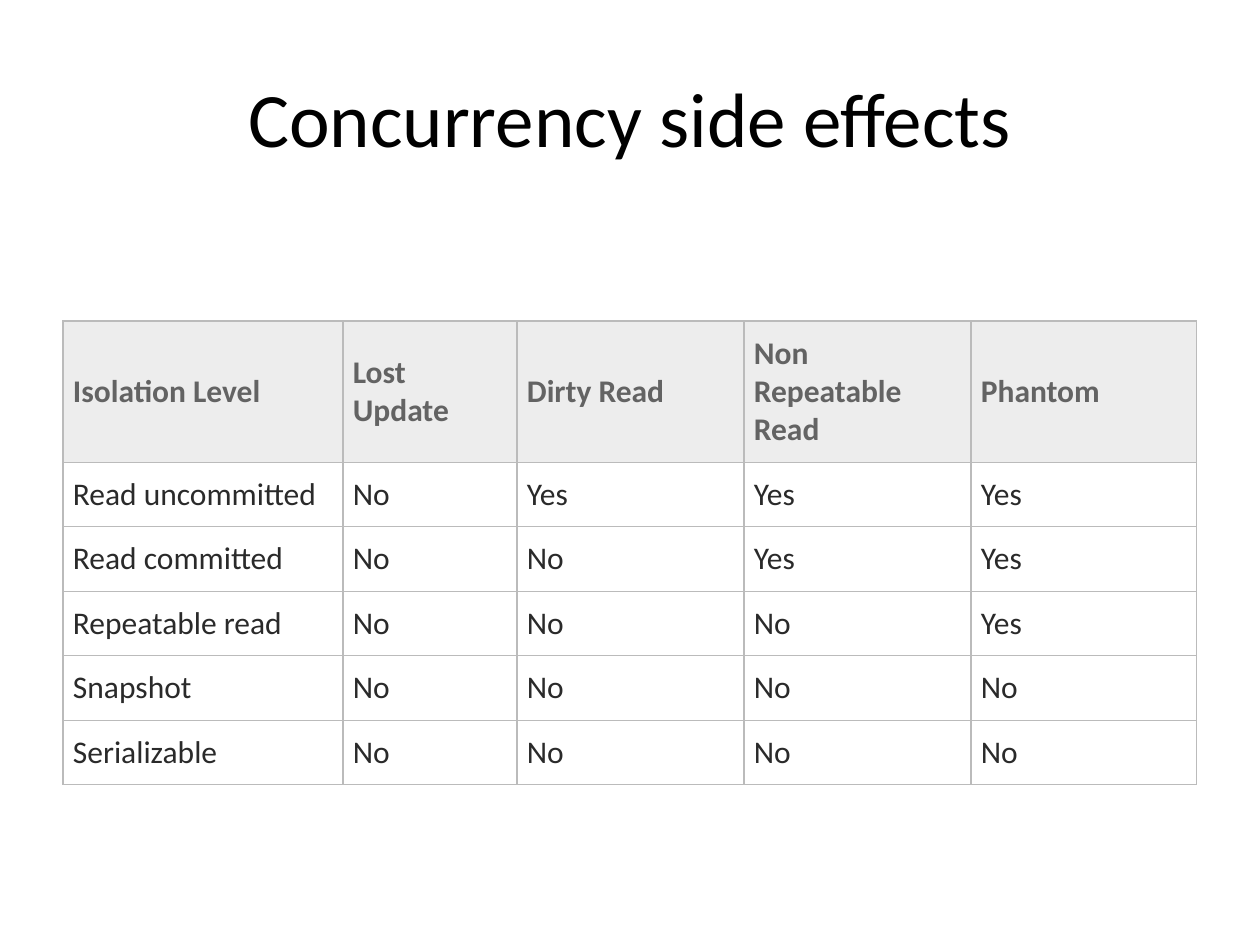
from dataclasses import dataclass

from lxml import etree
from pptx import Presentation
from pptx.dml.color import RGBColor
from pptx.enum.text import MSO_ANCHOR, PP_ALIGN
from pptx.oxml.ns import qn
from pptx.util import Emu, Pt

MIDDLE = MSO_ANCHOR.MIDDLE
TOP = MSO_ANCHOR.TOP
CENTER = PP_ALIGN.CENTER
LEFT = PP_ALIGN.LEFT
PX_PER_INCH = 126
TITLE_ONLY = 5


@dataclass(frozen=True)
class Theme:
    """Colours and type sizes of the slide."""
    font: str = "Calibri"
    title_size: int = 44
    table_size: int = 18
    title: str = "000000"
    header_text: str = "636363"
    header_fill: str = "EDEDED"
    body_text: str = "2A2A2A"
    border: str = "BBBBBB"
    border_width: float = 0.75


THEME = Theme()
COLUMN_WIDTHS = (280, 174, 227, 227, 226)
HEADER_HEIGHT = 141
ROW_HEIGHT = 64
ISOLATION_LEVELS = (
    ("Isolation Level", "Lost Update", "Dirty Read", "Non Repeatable Read", "Phantom"),
    ("Read uncommitted", "No", "Yes", "Yes", "Yes"),
    ("Read committed", "No", "No", "Yes", "Yes"),
    ("Repeatable read", "No", "No", "No", "Yes"),
    ("Snapshot", "No", "No", "No", "No"),
    ("Serializable", "No", "No", "No", "No"),
)


def px(length):
    """Turn px into EMU."""
    return Emu(round(length * 914400 / PX_PER_INCH))


def add_run(paragraph, text, size, color, bold=False):
    """Add one formatted run to a paragraph."""
    run = paragraph.add_run()
    run.text = text
    run.font.name = THEME.font
    run.font.size = Pt(size)
    run.font.bold = bold
    run.font.color.rgb = RGBColor.from_string(color)


def set_borders(cell):
    """Draw the same thin line on all four sides of a cell."""
    properties = cell._tc.get_or_add_tcPr()
    for side in ("a:lnL", "a:lnR", "a:lnT", "a:lnB"):
        line = etree.SubElement(properties, qn(side), w=str(Pt(THEME.border_width)))
        fill = etree.SubElement(line, qn("a:solidFill"))
        etree.SubElement(fill, qn("a:srgbClr"), val=THEME.border)


def format_cell(cell, text, is_header):
    """Fill one cell as a header or a body cell."""
    cell.margin_left = cell.margin_right = px(10)
    cell.margin_top = cell.margin_bottom = px(13)
    cell.vertical_anchor = MIDDLE if is_header else TOP
    set_borders(cell)
    if is_header:
        cell.fill.solid()
        cell.fill.fore_color.rgb = RGBColor.from_string(THEME.header_fill)
    else:
        cell.fill.background()
    paragraph = cell.text_frame.paragraphs[0]
    paragraph.alignment = LEFT
    color = THEME.header_text if is_header else THEME.body_text
    add_run(paragraph, text, THEME.table_size, color, is_header)


def place_title(slide, text, left, top, width, height):
    """Place the title placeholder in the given box."""
    title = slide.shapes.title
    title.left, title.top, title.width, title.height = map(px, (left, top, width, height))
    title.text_frame.vertical_anchor = MIDDLE
    paragraph = title.text_frame.paragraphs[0]
    paragraph.alignment = CENTER
    add_run(paragraph, text, THEME.title_size, THEME.title)


def place_table(slide, rows, left, top):
    """Place the table of isolation levels from its top left corner."""
    heights = [HEADER_HEIGHT] + [ROW_HEIGHT] * (len(rows) - 1)
    box = map(px, (left, top, sum(COLUMN_WIDTHS), sum(heights)))
    table = slide.shapes.add_table(len(rows), len(COLUMN_WIDTHS), *box).table
    table.horz_banding = False
    table.first_row = False
    for column, width in zip(table.columns, COLUMN_WIDTHS):
        column.width = px(width)
    for row_index, (row, height, texts) in enumerate(zip(table.rows, heights, rows)):
        row.height = px(height)
        for cell, text in zip(row.cells, texts):
            format_cell(cell, text, row_index == 0)


def main():
    """Build and save the presentation."""
    presentation = Presentation()
    presentation.slide_width = px(1260)
    presentation.slide_height = px(945)
    slide = presentation.slides.add_slide(presentation.slide_layouts[TITLE_ONLY])
    place_title(slide, "Concurrency side effects", 63, 38, 1134, 157)
    place_table(slide, ISOLATION_LEVELS, 63, 321)
    presentation.save("out.pptx")


if __name__ == "__main__":
    main()
